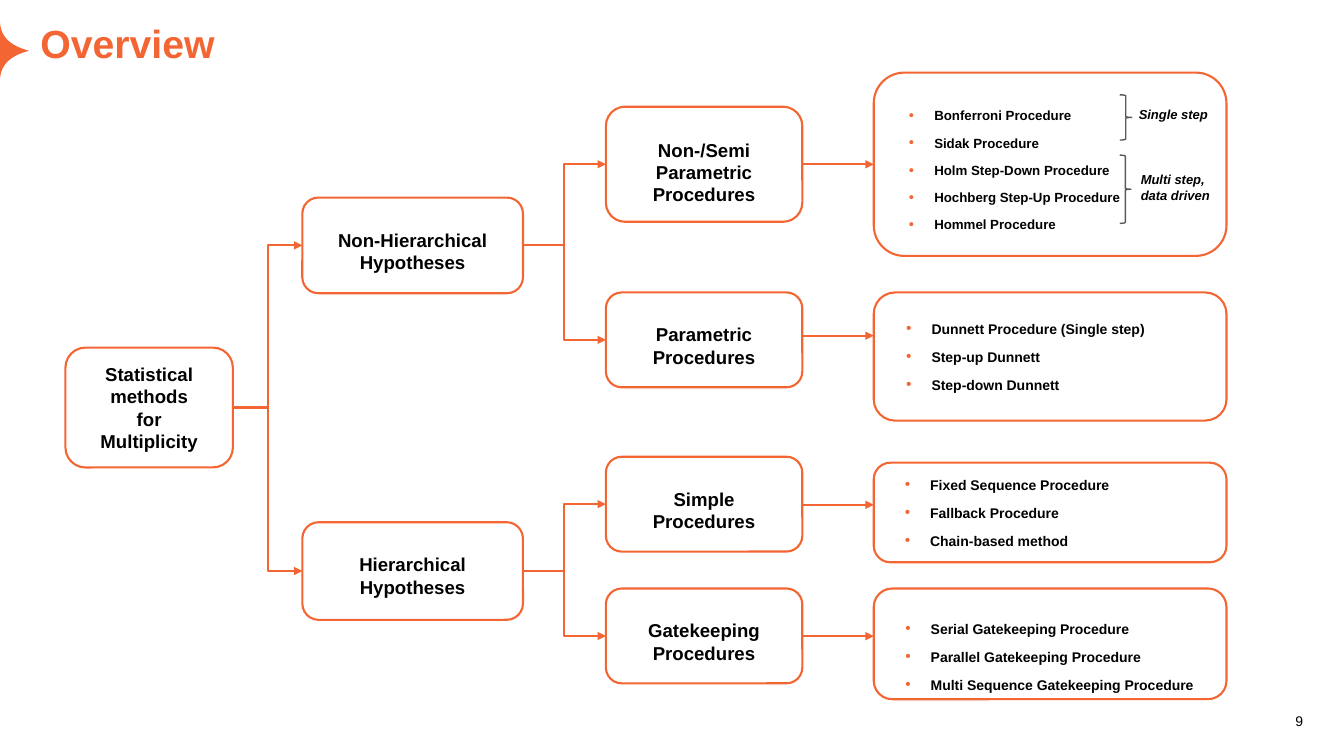
import pptx
import pptx.util
import pptx.dml.color
import pptx.enum.shapes
import pptx.enum.text
import pptx.oxml
import pptx.oxml.ns

Cm = pptx.util.Cm
Pt = pptx.util.Pt
RGBColor = pptx.dml.color.RGBColor
MSO_SHAPE = pptx.enum.shapes.MSO_SHAPE
MSO_CONNECTOR = pptx.enum.shapes.MSO_CONNECTOR
ANCHOR = pptx.enum.text.MSO_ANCHOR
ALIGN = pptx.enum.text.PP_ALIGN

ORANGE = RGBColor(0xF3, 0x66, 0x33)
GRAY = RGBColor(0x59, 0x59, 0x59)
BLACK = RGBColor(0, 0, 0)


def add_xml(parent, tag, **attrs):
    """Append one DrawingML element."""
    el = pptx.oxml.parse_xml(f'<a:{tag} {pptx.oxml.ns.nsdecls("a")}/>')
    for key, value in attrs.items():
        el.set(key, str(value))
    parent.append(el)
    return el


def write(tf, text, size=13.3, color=BLACK, bold=True, italic=False,
          align=ALIGN.LEFT, anchor=ANCHOR.TOP, inset=0.66, bullet=False):
    """Fill a text frame; a list of strings gives one paragraph each."""
    tf.word_wrap = True
    tf.auto_size = pptx.enum.text.MSO_AUTO_SIZE.NONE
    tf.vertical_anchor = anchor
    tf.margin_left = tf.margin_right = tf.margin_top = tf.margin_bottom = Cm(inset)
    for i, item in enumerate([text] if isinstance(text, str) else text):
        p = tf.add_paragraph() if i else tf.paragraphs[0]
        if bullet:
            pPr = p._p.get_or_add_pPr()
            pPr.set("marL", str(Cm(0.64)))
            pPr.set("indent", str(-Cm(0.64)))
            add_xml(add_xml(pPr, "buClr"), "srgbClr", val=ORANGE)
            add_xml(pPr, "buSzPct", val=110000)
            add_xml(pPr, "buFont", typeface="Arial")
            add_xml(pPr, "buChar", char="•")
        p.alignment = align
        if i:
            p.space_before = Pt(4)
        p.space_after = Pt(4 if inset else 0)
        for j, line in enumerate(item.split("\n")):
            if j:
                p.add_line_break()
            r = p.add_run()
            r.text = line
            r.font.name = "Arial"
            r.font.size = Pt(size)
            r.font.bold = bold
            r.font.italic = italic
            r.font.color.rgb = color


class Diagram:
    """Current slide and its line style."""

    def __init__(self, slide, color=ORANGE, weight=1.5):
        self.shapes = slide.shapes
        self.color = color
        self.weight = weight

    def text(self, x, y, w, h, text, **fmt):
        sp = self.shapes.add_textbox(Cm(x), Cm(y), Cm(w), Cm(h))
        write(sp.text_frame, text, **fmt)

    def outline(self, kind, x, y, w, h, color, weight):
        sp = self.shapes.add_shape(kind, Cm(x), Cm(y), Cm(w), Cm(h))
        sp.shadow.inherit = False
        sp.fill.background()
        sp.line.color.rgb = color
        sp.line.width = Pt(weight)
        return sp

    def box(self, x, y, w, h, text, **fmt):
        sp = self.outline(MSO_SHAPE.ROUNDED_RECTANGLE, x, y, w, h,
                          self.color, self.weight)
        write(sp.text_frame, text, **fmt)

    def brace(self, x, y, w, h):
        self.outline(MSO_SHAPE.RIGHT_BRACE, x, y, w, h, GRAY, 1)

    def arrow(self, x1, y1, x2, y2):
        kind = MSO_CONNECTOR.STRAIGHT if y1 == y2 else MSO_CONNECTOR.ELBOW
        cn = self.shapes.add_connector(kind, Cm(x1), Cm(y1), Cm(x2), Cm(y2))
        cn.line.color.rgb = self.color
        cn.line.width = Pt(self.weight)
        add_xml(cn.line._get_or_add_ln(), "tailEnd", type="triangle")
        add_xml(cn._element.spPr, "effectLst")

    def half_star(self, top, mid, width):
        """Star point at the left edge: a curve, mirrored about mid."""
        start, c1, c2, tip = (0, top), (0, top + 0.41), (0.25, mid - 0.13), (width, mid)
        upper = []
        for k in range(21):
            t = k / 20
            weights = ((1 - t) ** 3, 3 * t * (1 - t) ** 2, 3 * t * t * (1 - t), t ** 3)
            upper.append(tuple(
                sum(f * pt[axis] for f, pt in zip(weights, (start, c1, c2, tip)))
                for axis in (0, 1)))
        pts = upper + [(x, 2 * mid - y) for x, y in reversed(upper)]
        pts = [(Cm(x), Cm(y)) for x, y in pts]
        fb = self.shapes.build_freeform(*pts[0], scale=1.0)
        fb.add_line_segments(pts[1:], close=True)
        sp = fb.convert_to_shape()
        sp.shadow.inherit = False
        sp.fill.solid()
        sp.fill.fore_color.rgb = self.color
        sp.line.fill.background()


# Columns: left, width
ROOT, HYPOTHESIS, PROCEDURE, METHODS = (
    (1.65, 4.22), (7.62, 5.56), (15.27, 4.95), (22.02, 8.89))

# Hypotheses: top, height, text, then their procedures with
# (top, height, text, arrow level, list top, list height, methods, list format)
TREE = [
    (4.98, 2.41, "Non-Hierarchical Hypotheses", [
        (2.69, 2.9, "Non-/Semi Parametric Procedures", 4.14, 1.83, 4.62,
         ["Bonferroni Procedure", "Sidak Procedure", "Holm Step-Down Procedure",
          "Hochberg Step-Up Procedure", "Hommel Procedure"], {"size": 9.5}),
        (7.37, 2.39, "Parametric Procedures", 8.46, 7.37, 3.23,
         ["Dunnett Procedure (Single step)", "Step-up Dunnett", "Step-down Dunnett"],
         {"size": 10, "anchor": ANCHOR.MIDDLE})]),
    (13.16, 2.46, "Hierarchical Hypotheses", [
        (11.51, 2.39, "Simple Procedures", 12.72, 11.66, 2.51,
         ["Fixed Sequence Procedure", "Fallback Procedure", "Chain-based method"],
         {"size": 10, "anchor": ANCHOR.MIDDLE}),
        (14.83, 2.39, "Gatekeeping Procedures", 16.03, 14.83, 2.79,
         ["Serial Gatekeeping Procedure", "Parallel Gatekeeping Procedure",
          "Multi Sequence Gatekeeping Procedure"], {"size": 10})]),
]


def main():
    prs = pptx.Presentation()
    prs.slide_width, prs.slide_height = Cm(33.87), Cm(19.05)
    d = Diagram(prs.slides.add_slide(prs.slide_layouts[6]))

    # Heading
    d.half_star(0.51, 1.28, 0.73)
    d.text(1.02, 0.48, 31.83, 1.19, "Overview", size=28, color=ORANGE,
           anchor=ANCHOR.BOTTOM, inset=0)

    # Tree of methods
    root_top, root_h = 8.76, 3.02
    d.box(ROOT[0], root_top, ROOT[1], root_h, "Statistical methods for Multiplicity",
          align=ALIGN.CENTER, anchor=ANCHOR.MIDDLE)
    for top, h, name, procedures in TREE:
        mid = top + h / 2
        d.box(HYPOTHESIS[0], top, HYPOTHESIS[1], h, name, align=ALIGN.CENTER)
        d.arrow(sum(ROOT), root_top + root_h / 2, HYPOTHESIS[0], mid)
        for p_top, p_h, p_name, level, m_top, m_h, methods, fmt in procedures:
            d.box(PROCEDURE[0], p_top, PROCEDURE[1], p_h, p_name, align=ALIGN.CENTER)
            d.box(METHODS[0], m_top, METHODS[1], m_h, methods, bullet=True, **fmt)
            d.arrow(sum(HYPOTHESIS), mid, PROCEDURE[0], p_top + p_h / 2)
            d.arrow(sum(PROCEDURE), level, METHODS[0], level)

    # Braces with their labels
    d.brace(28.22, 2.39, 0.3, 1.14)
    d.text(28.04, 2.03, 3.25, 1.4, "Single step", size=9.3, italic=True)
    d.brace(28.22, 3.91, 0.28, 1.72)
    d.text(28.09, 3.66, 3.25, 1.96, "Multi step,\ndata driven", size=9.3, italic=True)

    # Slide number
    d.text(31.34, 17.63, 1.5, 0.76, "9", size=10, bold=False, align=ALIGN.RIGHT,
           anchor=ANCHOR.BOTTOM, inset=0)

    prs.save("out.pptx")


if __name__ == "__main__":
    main()
